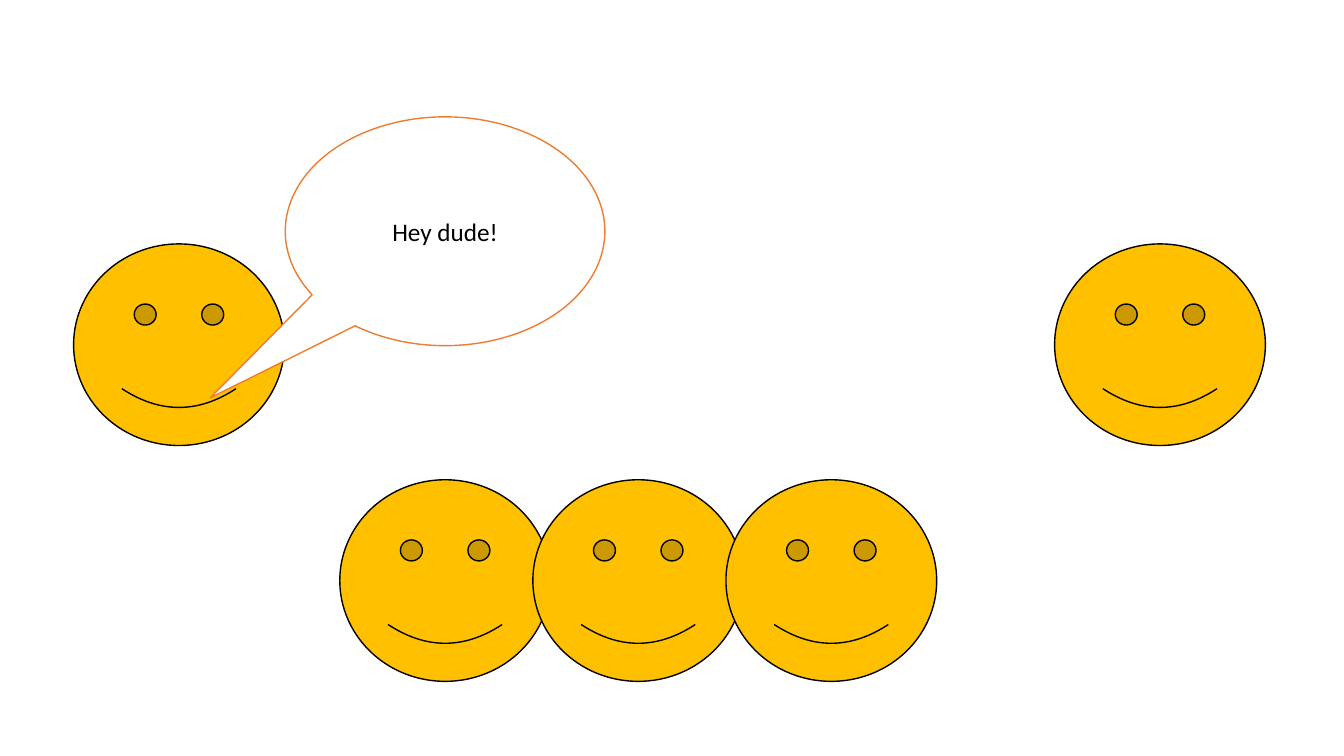
from pptx import Presentation
from pptx.dml.color import RGBColor
from pptx.enum.shapes import MSO_SHAPE
from pptx.enum.text import MSO_ANCHOR, PP_ALIGN
from pptx.util import Inches, Pt

COLORS = {"face": "FFC000", "outline": "000000", "bubble": "FFFFFF",
          "bubble line": "ED7D31", "text": "000000"}


def add_figure(page, kind, left, top, width, height, fill, line):
    shape = page.shapes.add_shape(kind, Inches(left), Inches(top),
                                  Inches(width), Inches(height))
    shape.shadow.inherit = False
    shape.fill.solid()
    shape.fill.fore_color.rgb = RGBColor.from_string(COLORS[fill])
    shape.line.color.rgb = RGBColor.from_string(COLORS[line])
    shape.line.width = Pt(1)
    return shape


deck = Presentation()
deck.slide_width, deck.slide_height = Inches(13.33), Inches(7.5)
page = deck.slides.add_slide(deck.slide_layouts[6])

# Two faces on either side
for left in (0.73, 10.46):
    add_figure(page, MSO_SHAPE.SMILEY_FACE, left, 2.42, 2.09, 2, "face", "outline")

# Speech bubble of the left face
bubble = add_figure(page, MSO_SHAPE.OVAL_CALLOUT, 2.83, 1.16, 3.17, 2.27,
                    "bubble", "bubble line")
bubble.adjustments[0] = -0.735
bubble.adjustments[1] = 0.728
frame = bubble.text_frame
frame.word_wrap = True
frame.vertical_anchor = MSO_ANCHOR.MIDDLE
para = frame.paragraphs[0]
para.alignment = PP_ALIGN.CENTER
span = para.add_run()
span.text = "Hey dude!"
for name, value in {"name": "Calibri", "size": Pt(18)}.items():
    setattr(span.font, name, value)
span.font.color.rgb = RGBColor.from_string(COLORS["text"])

# Overlapping row of three faces
for index in range(3):
    face = add_figure(page, MSO_SHAPE.SMILEY_FACE, 3.37 + index * 1.915, 4.76,
                      2.09, 2, "face", "outline")
    face.adjustments[0] = 0.047

deck.save("out.pptx")
